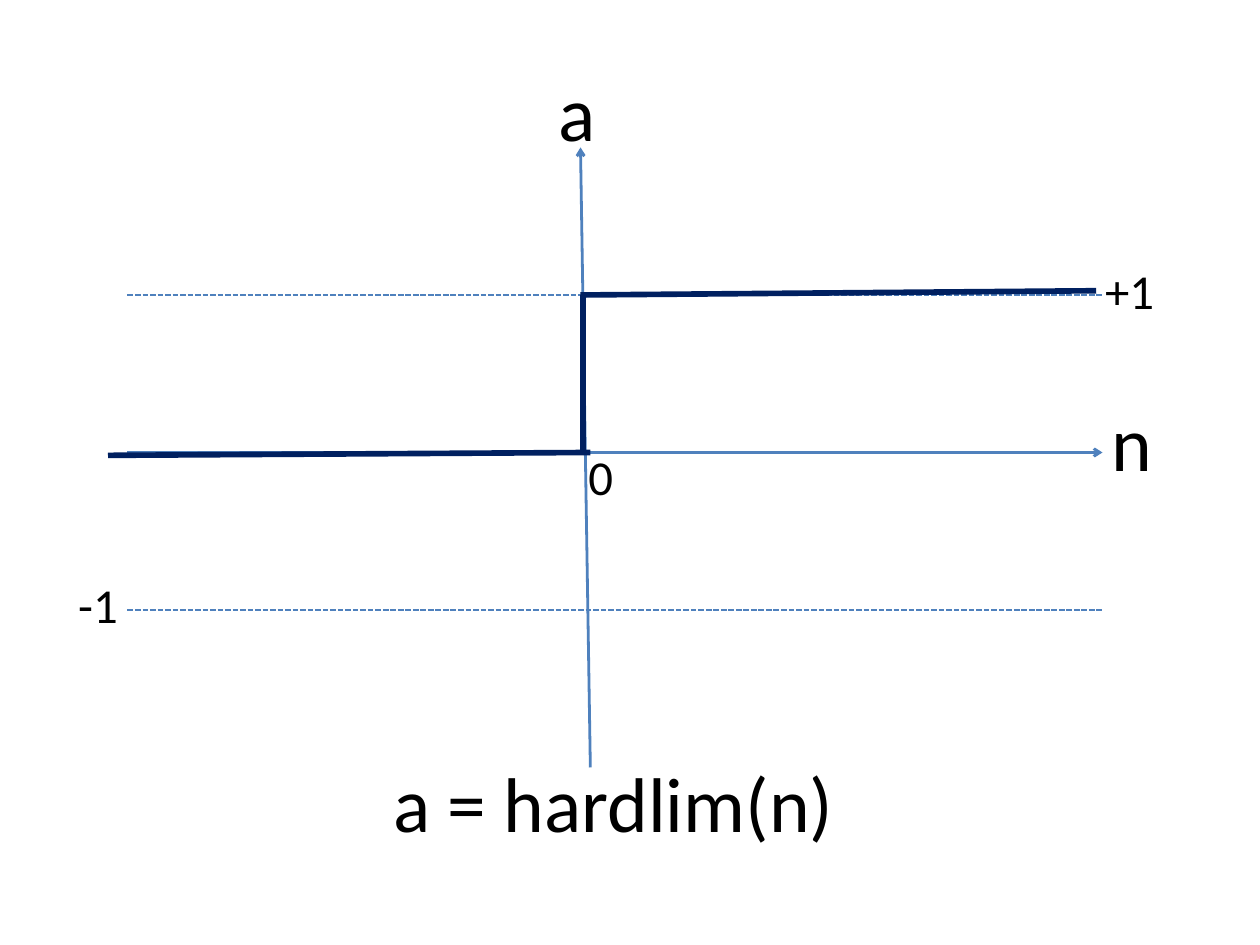
from lxml import etree
from pptx import Presentation
from pptx.dml.color import RGBColor
from pptx.enum import dml, shapes, text
from pptx.oxml import ns
from pptx.util import Pt


def color(value):
    return RGBColor.from_string(value)


class Plot:
    font = "Calibri"
    ink = "000000"
    axis = "4F81BD"
    curve = "002060"
    large = 62
    small = 39

    def __init__(self, slide):
        self.s = slide

    def line(self, start, end, stroke, width, dashed=False, arrow=False):
        c = self.s.shapes.add_connector(
            shapes.MSO_CONNECTOR.STRAIGHT, *(Pt(v) for v in start + end)
        )
        c.line.color.rgb = color(stroke)
        c.line.width = Pt(width)
        if dashed:
            c.line.dash_style = dml.MSO_LINE.SQUARE_DOT
        if arrow:
            ln = c.line._get_or_add_ln()
            etree.SubElement(ln, ns.qn("a:tailEnd"), type="arrow")
        etree.SubElement(c._element.spPr, ns.qn("a:effectLst"))

    def label(self, words, x, y, w, h, size):
        sp = self.s.shapes.add_textbox(Pt(x), Pt(y), Pt(w), Pt(h))
        tf = sp.text_frame
        tf.word_wrap = False
        tf.auto_size = text.MSO_AUTO_SIZE.SHAPE_TO_FIT_TEXT
        p = tf.paragraphs[0]
        p.text = words
        p.font.name = self.font
        p.font.size = Pt(size)
        p.font.color.rgb = color(self.ink)


def main():
    prs = Presentation()
    prs.slide_width, prs.slide_height = Pt(1008), Pt(756)
    plot = Plot(prs.slides.add_slide(prs.slide_layouts[6]))

    left, right = 102, 882
    zero, unit = 362, 126
    plus, minus = zero - unit, zero + unit

    plot.line((472.3, 614), (464.4, 118), plot.axis, 2.25, arrow=True)
    plot.line((left, zero), (right, zero), plot.axis, 2.25, arrow=True)
    for level in (plus, minus):
        plot.line((left, level), (right, level), plot.axis, 1.5, dashed=True)

    plot.label("n", 882, 311.8, 47.5, 82, plot.large)
    plot.label("a", 440, 47.5, 44.6, 82, plot.large)
    plot.label("+1", 877, 205.2, 54, 54.7, plot.small)
    plot.label("-1", 55.4, 456.5, 46.8, 54.7, plot.small)
    plot.label("a = hardlim(n)", 307.4, 600.5, 374.4, 85, plot.large)
    plot.label("0", 463.7, 354.2, 34.6, 54.7, plot.small)

    step = 466.6
    plot.line((877, 232.6), (464.4, plus), plot.curve, 4.5)
    plot.line((472.3, zero), (86.4, 364.3), plot.curve, 4.5)
    plot.line((step, plus), (step, zero), plot.curve, 4.5)

    prs.save("out.pptx")


if __name__ == "__main__":
    main()
